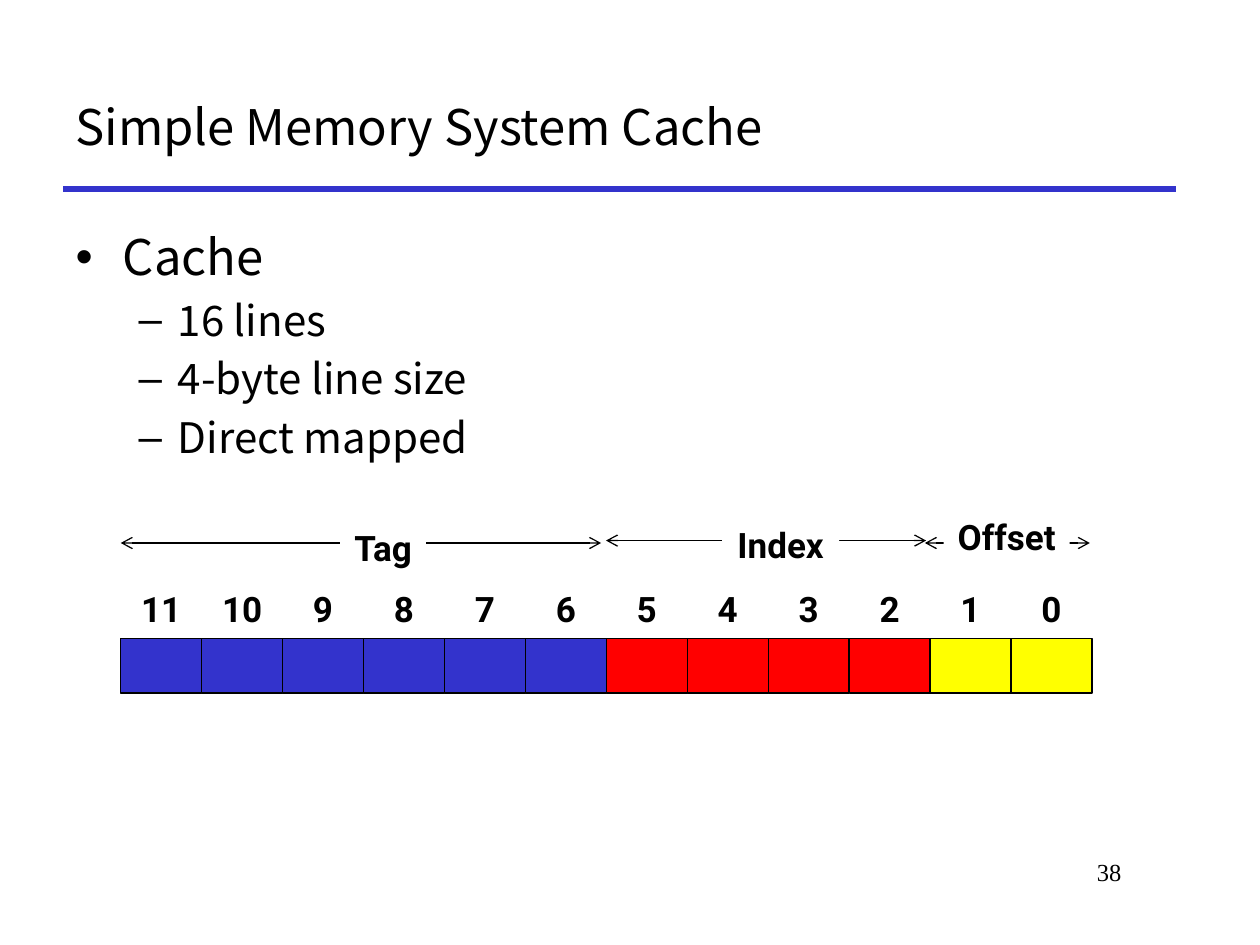
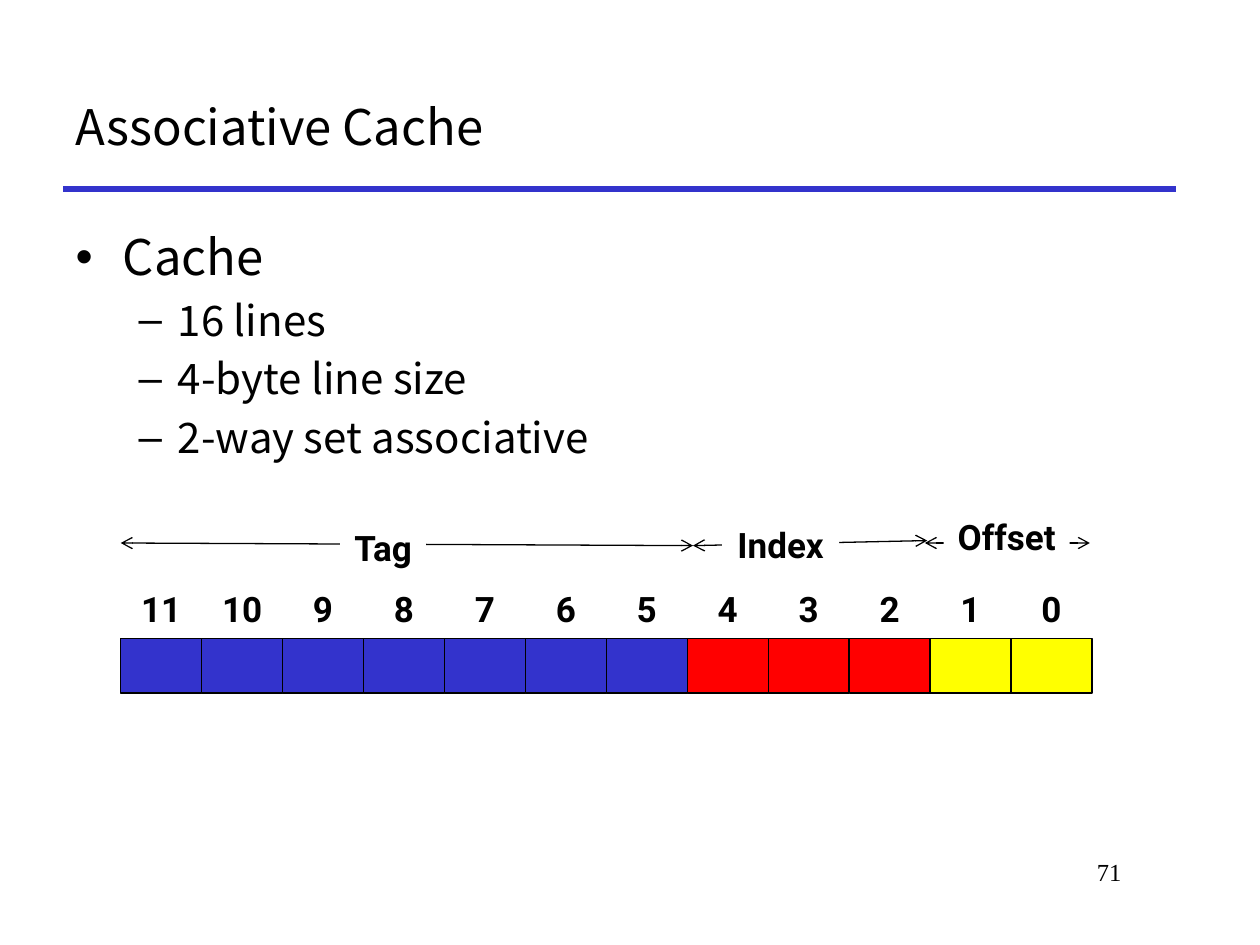
from pptx import Presentation
from pptx.dml.color import RGBColor
from pptx.enum.shapes import MSO_CONNECTOR, MSO_SHAPE
from pptx.enum.text import MSO_ANCHOR, MSO_AUTO_SIZE, PP_ALIGN
from pptx.oxml.ns import qn
from pptx.util import Pt
from lxml.etree import SubElement

# Content: page, title, list items, bits per field, arrow ends per field
PAGES = [
    {"page": "38", "title": "Simple Memory System Cache",
     "items": ["16 lines", "4-byte line size", "Direct mapped"],
     "bits": {"Tag": 6, "Index": 4, "Offset": 2},
     "spans": {"Tag": (69, 310.3, 343.5, 310.3),
               "Index": (346.3, 308.9, 529.2, 308.9),
               "Offset": (528.5, 310.3, 622.8, 310.3)}},
    {"page": "71", "title": "Associative Cache",
     "items": ["16 lines", "4-byte line size", "2-way set associative"],
     "bits": {"Tag": 7, "Index": 3, "Offset": 2},
     "spans": {"Tag": (69, 310.3, 396, 311.8),
               "Index": (396, 311.8, 529.9, 308.9),
               "Offset": (528.5, 310.3, 622.8, 310.3)}},
]
HEAD = "Cache"

# Shared look
BLUE, RED, GOLD = "3333CC", "FF0000", "FFFF00"
BLACK, WHITE = "000000", "FFFFFF"
SANS, BOLD, SERIF = "Noto Sans CJK KR", "Roboto", "Times New Roman"
FILLS = {"Tag": BLUE, "Index": RED, "Offset": GOLD}
LABELS = {"Offset": (539.3, 293.8, 72, 37.4),
          "Index": (412.6, 298.1, 67, 37.4),
          "Tag": (194.4, 300.2, 49, 37.4)}
LEFT, TOP, WIDE, HIGH = 69, 365, 46.25, 31


def tint(code):
    return RGBColor.from_string(code)


def place(shape, box):
    shape.left, shape.top, shape.width, shape.height = map(Pt, box)


def style(para, name, size, bold=False, align=PP_ALIGN.LEFT):
    font = para.font
    font.name, font.size, font.bold = name, Pt(size), bold
    font.color.rgb = tint(BLACK)
    para.alignment = align


def write(shape, text, name, size, bold, align, anchor, wrap):
    frame = shape.text_frame
    frame.text = text
    frame.word_wrap = wrap
    frame.auto_size = MSO_AUTO_SIZE.NONE
    frame.vertical_anchor = anchor
    style(frame.paragraphs[0], name, size, bold, align)
    return frame.paragraphs[0]


def label(shape, text, anchor):
    para = write(shape, text, BOLD, 20, True, PP_ALIGN.CENTER, anchor, False)
    para.line_spacing = 0.9


def rect(slide, box, fill, edge=None):
    shape = slide.shapes.add_shape(MSO_SHAPE.RECTANGLE, *map(Pt, box))
    shape.shadow.inherit = False
    shape.fill.solid()
    shape.fill.fore_color.rgb = tint(fill)
    if edge:
        shape.line.color.rgb = tint(edge)
        shape.line.width = Pt(0.75)
    else:
        shape.line.fill.background()
    return shape


def rule(slide, ends, color, width, heads=False):
    line = slide.shapes.add_connector(MSO_CONNECTOR.STRAIGHT, *map(Pt, ends))
    line.line.color.rgb = tint(color)
    line.line.width = Pt(width)
    if heads:
        pen = line.line._get_or_add_ln()
        for tag in ("a:headEnd", "a:tailEnd"):
            SubElement(pen, qn(tag), type="arrow")
    SubElement(line._element.spPr, qn("a:effectLst"))


def base(slide, data):
    # Blue rule, page number, title and list
    rule(slide, (36, 108, 672, 108), BLUE, 3)
    num = slide.shapes.add_textbox(Pt(546), Pt(486), Pt(102), Pt(36))
    write(num, data["page"], SERIF, 14, False, PP_ALIGN.RIGHT,
          MSO_ANCHOR.TOP, True)
    title, body = slide.placeholders
    place(title, (36, 36, 636, 72))
    write(title, data["title"], SANS, 28, False, PP_ALIGN.LEFT,
          MSO_ANCHOR.MIDDLE, True)
    place(body, (36, 126, 654, 348))
    frame = body.text_frame
    frame.auto_size = MSO_AUTO_SIZE.NONE
    frame.text = "\n".join([HEAD] + data["items"])
    for i, para in enumerate(frame.paragraphs):
        para.level = min(i, 1)
        style(para, SANS, 24 if i else 28)


def address(slide, data):
    # Bit cells, numbered down to zero
    fills = [FILLS[name] for name, n in data["bits"].items() for _ in range(n)]
    for i, fill in enumerate(fills):
        x = LEFT + i * WIDE
        rect(slide, (x, TOP, WIDE, HIGH), fill, BLACK)
        num = slide.shapes.add_textbox(*map(Pt, (x, TOP - HIGH, WIDE, HIGH)))
        label(num, str(len(fills) - 1 - i), MSO_ANCHOR.MIDDLE)
    # Field arrows, each broken by its name
    for name, box in LABELS.items():
        rule(slide, data["spans"][name], BLACK, 0.75, heads=True)
        label(rect(slide, box, WHITE), name, MSO_ANCHOR.TOP)


deck = Presentation()
deck.slide_width, deck.slide_height = Pt(720), Pt(540)
for data in PAGES:
    slide = deck.slides.add_slide(deck.slide_layouts[1])
    base(slide, data)
    address(slide, data)
deck.save("out.pptx")
